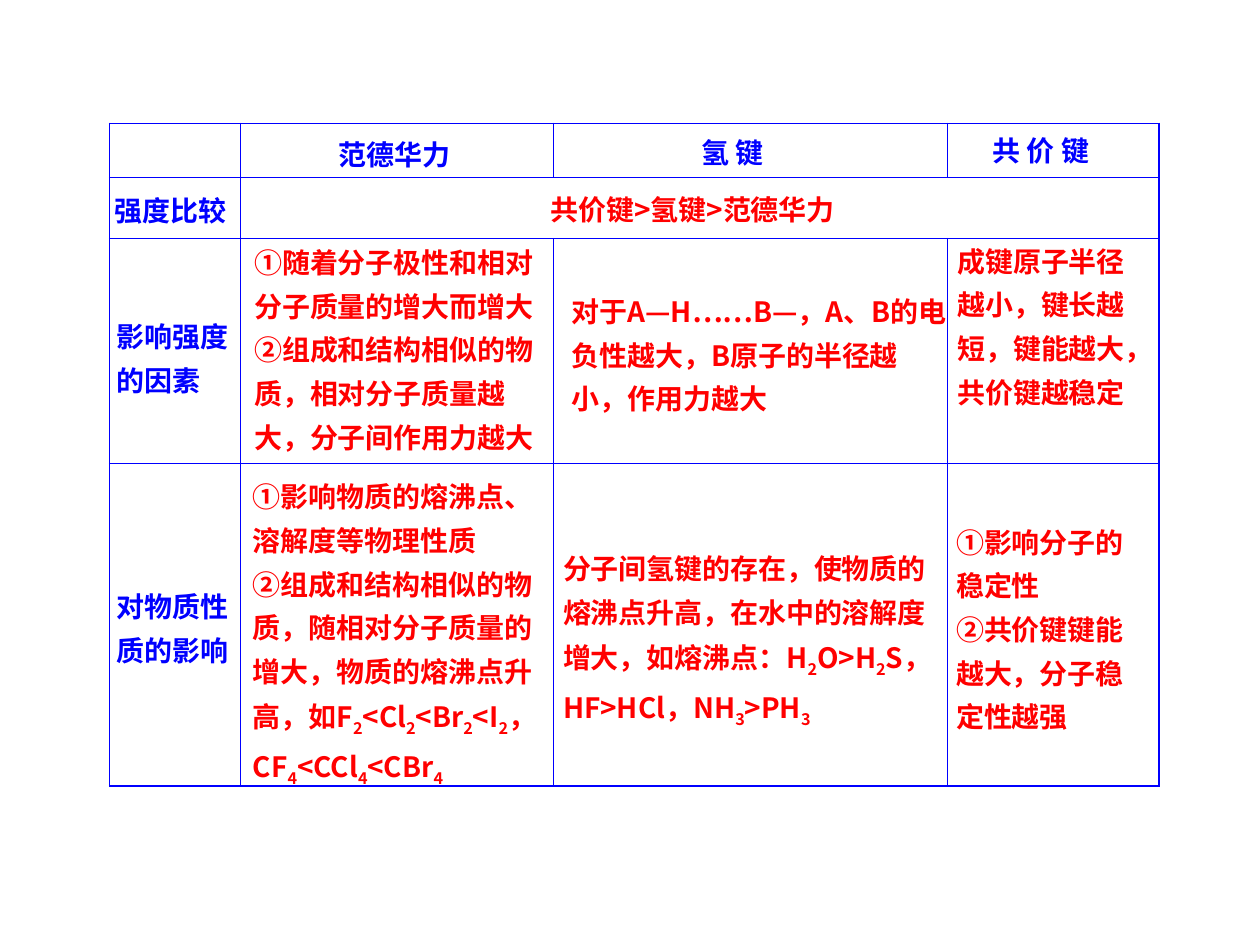
"""Build a slide comparing van der Waals forces, hydrogen bonds and covalent bonds."""
from itertools import accumulate

from lxml.etree import SubElement
from pptx import Presentation
from pptx.dml.color import RGBColor
from pptx.enum.text import MSO_AUTO_SIZE
from pptx.oxml import parse_xml
from pptx.oxml.ns import nsdecls, qn
from pptx.util import Inches, Pt

COLORS = {"heading": "0000FF", "detail": "FF0000", "border": "0000FF"}
FONT = "Noto Sans CJK SC"
FONT_SIZE = 16
SUBSCRIPT_MARK = "_"
OUTER_LINE, INNER_LINE = 1.08, 0.45
TABLE_LEFT, TABLE_TOP = 0.87, 0.98
COLUMN_WIDTHS = [1.04, 2.48, 3.13, 1.68]
ROW_HEIGHTS = [0.43, 0.48, 1.79, 2.56]

TEXTS = [
    (0, 1, (0.68, -0.02), (1.61, 0.45), "heading", 1.3, ["范德华力"]),
    (0, 2, (1.08, -0.03), (1.94, 0.45), "heading", 1.3, ["氢 键"]),
    (0, 3, (0.26, 0.03), (1.94, 0.37), "heading", 1.0, ["共 价 键"]),
    (1, 0, (-0.06, 0), (1.61, 0.45), "heading", 1.3, ["强度比较"]),
    (2, 0, (-0.04, 0.52), (1.61, 0.8), "heading", 1.3, ["影响强度", "的因素"]),
    (3, 0, (-0.04, 0.87), (1.61, 0.8), "heading", 1.3, ["对物质性", "质的影响"]),
    (1, 1, (2.36, -0.01), (3.45, 0.45), "detail", 1.3, ["共价键>氢键>范德华力"]),
    (2, 2, (0.05, 0.32), (3.2, 1.49), "detail", 1.3,
     ["对于A—H……B—，A、B的电", "负性越大，B原子的半径越", "小，作用力越大"]),
    (2, 3, (-0.02, -0.08), (1.99, 1.49), "detail", 1.3,
     ["成键原子半径", "越小，键长越", "短，键能越大，", "共价键越稳定"]),
    (2, 1, (0.01, -0.07), (3.13, 1.84), "detail", 1.3,
     ["①随着分子极性和相对", "分子质量的增大而增大", "②组成和结构相似的物",
      "质，相对分子质量越", "大，分子间作用力越大"]),
    (3, 1, (0, 0), (3.13, 2.62), "detail", 1.3,
     ["①影响物质的熔沸点、", "溶解度等物理性质", "②组成和结构相似的物",
      "质，随相对分子质量的", "增大，物质的熔沸点升",
      "高，如F_2<Cl_2<Br_2<I_2，CF_4<CCl_4<CBr_4"]),
    (3, 2, (-0.02, 0.57), (3.39, 1.58), "detail", 1.3,
     ["分子间氢键的存在，使物质的", "熔沸点升高，在水中的溶解度",
      "增大，如熔沸点：H_2O>H_2S，", "HF>HCl，NH_3>PH_3"]),
    (3, 3, (-0.03, 0.36), (2.33, 1.84), "detail", 1.3,
     ["①影响分子的", "稳定性", "②共价键键能", "越大，分子稳", "定性越强"]),
]


def set_borders(cell, outer_sides):
    properties = cell._tc.get_or_add_tcPr()
    for index, side in enumerate("LRTB"):
        width = Pt(OUTER_LINE if side in outer_sides else INNER_LINE)
        properties.insert(index, parse_xml(
            f'<a:ln{side} {nsdecls("a")} w="{width}"><a:solidFill>'
            f'<a:srgbClr val="{COLORS["border"]}"/></a:solidFill></a:ln{side}>'))


def add_grid(slide):
    row_count, column_count = len(ROW_HEIGHTS), len(COLUMN_WIDTHS)
    table = slide.shapes.add_table(
        row_count, column_count, Inches(TABLE_LEFT), Inches(TABLE_TOP),
        Inches(sum(COLUMN_WIDTHS)), Inches(sum(ROW_HEIGHTS))).table
    table.first_row = table.horz_banding = False
    for column, width in zip(table.columns, COLUMN_WIDTHS):
        column.width = Inches(width)
    for row, height in zip(table.rows, ROW_HEIGHTS):
        row.height = Inches(height)
    table.cell(1, 1).merge(table.cell(1, column_count - 1))
    for row in range(row_count):
        for column in range(column_count):
            cell = table.cell(row, column)
            cell.margin_top = cell.margin_bottom = 0
            cell.fill.background()
            if cell.is_spanned:
                continue
            edges = {"L": column == 0, "R": column + cell.span_width == column_count,
                     "T": row == 0, "B": row == row_count - 1}
            set_borders(cell, [side for side, outer in edges.items() if outer])


def add_line(paragraph, line, color, spacing):
    paragraph.line_spacing = spacing
    font = paragraph.font
    font.name, font.size, font.bold = FONT, Pt(FONT_SIZE), True
    font.color.rgb = RGBColor.from_string(COLORS[color])
    SubElement(font._element, qn("a:ea"), typeface=FONT)
    first, *others = line.split(SUBSCRIPT_MARK)
    paragraph.add_run().text = first
    for part in others:
        subscript = paragraph.add_run()
        subscript.text = part[0]
        subscript._r.get_or_add_rPr().set("baseline", "-25000")
        if part[1:]:
            paragraph.add_run().text = part[1:]


def add_text(slide, left, top, size, color, spacing, lines):
    box = slide.shapes.add_textbox(Inches(left), Inches(top), *map(Inches, size))
    frame = box.text_frame
    frame.word_wrap = True
    frame.auto_size = MSO_AUTO_SIZE.SHAPE_TO_FIT_TEXT
    for index, line in enumerate(lines):
        paragraph = frame.add_paragraph() if index else frame.paragraphs[0]
        add_line(paragraph, line, color, spacing)


def main():
    presentation = Presentation()
    presentation.slide_width, presentation.slide_height = Inches(10), Inches(7.5)
    slide = presentation.slides.add_slide(presentation.slide_layouts[6])
    add_grid(slide)
    lefts = list(accumulate(COLUMN_WIDTHS, initial=TABLE_LEFT))
    tops = list(accumulate(ROW_HEIGHTS, initial=TABLE_TOP))
    for row, column, (across, down), *content in TEXTS:
        add_text(slide, lefts[column] + across, tops[row] + down, *content)
    presentation.save("out.pptx")


if __name__ == "__main__":
    main()
